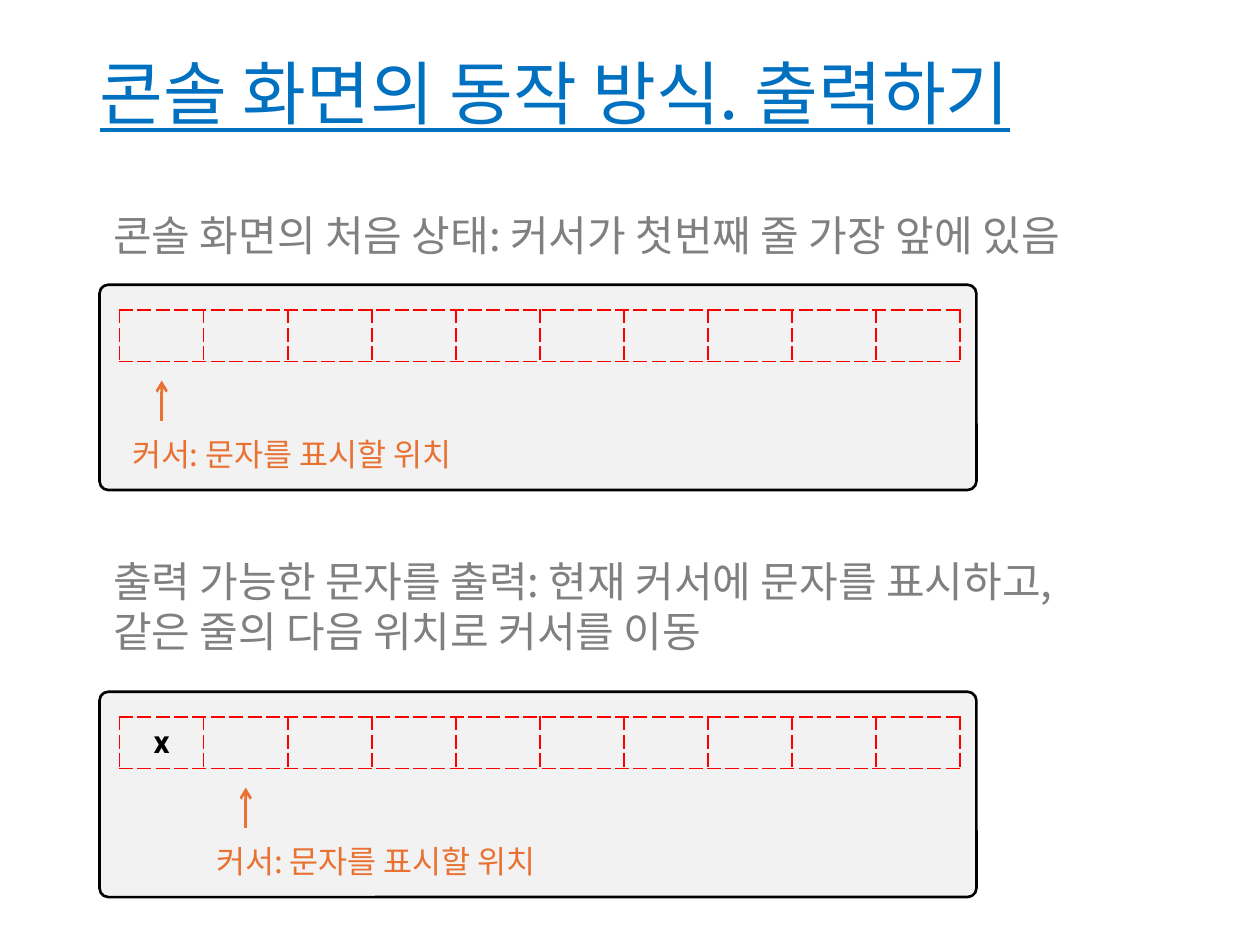
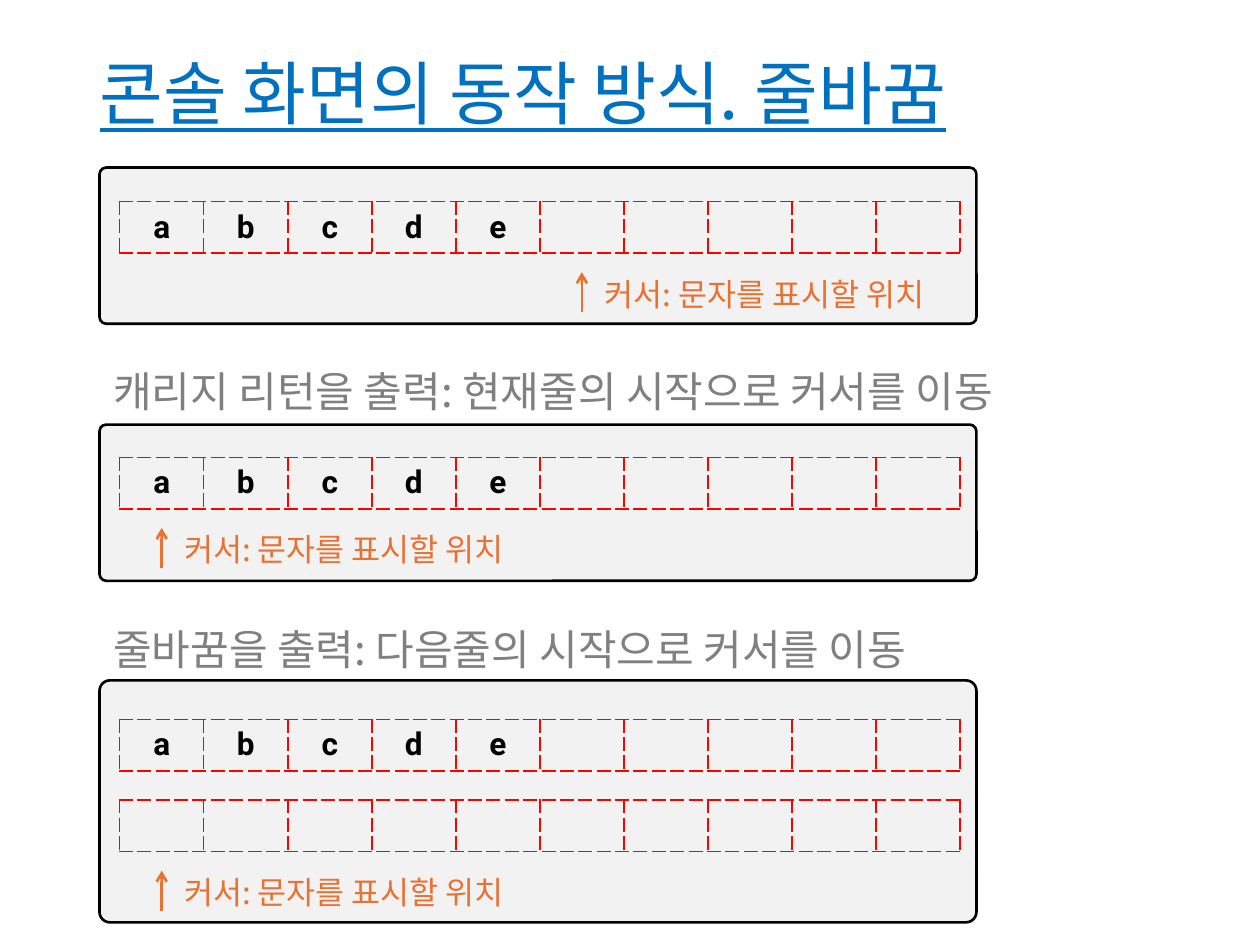
import pptx
import pptx.util
import pptx.dml.color
import pptx.enum.dml
import pptx.enum.shapes
import pptx.enum.text
import pptx.oxml
import pptx.oxml.ns

Inches = pptx.util.Inches
Pt = pptx.util.Pt

COLORS = {"title": "0070C0", "caption": "808080", "cursor": "E97132",
          "screen": "F2F2F2", "outline": "000000", "cell": "FF0000", "letter": "000000"}
KOREAN, LATIN = "Noto Sans CJK KR", "Roboto"
CURSOR_LABEL = "커서: 문자를 표시할 위치"

# Each screen: caption lines and top, screen top and height,
# rows of (top, printed letters), column of the cursor in the last row.
SLIDES = [
    {"title": "콘솔 화면의 동작 방식. 출력하기", "label": "below", "screens": [
        {"caption": ["콘솔 화면의 처음 상태: 커서가 첫번째 줄 가장 앞에 있음"], "caption_top": 1.61,
         "top": 2.26, "height": 1.63, "rows": [(2.46, "")], "cursor": 0},
        {"caption": ["출력 가능한 문자를 출력: 현재 커서에 문자를 표시하고,",
                     "같은 줄의 다음 위치로 커서를 이동"], "caption_top": 4.36,
         "top": 5.49, "height": 1.63, "rows": [(5.69, "x")], "cursor": 1},
    ]},
    {"title": "콘솔 화면의 동작 방식. 줄바꿈", "label": "beside", "screens": [
        {"caption": [], "caption_top": 0,
         "top": 1.33, "height": 1.24, "rows": [(1.6, "abcde")], "cursor": 5},
        {"caption": ["캐리지 리턴을 출력: 현재줄의 시작으로 커서를 이동"], "caption_top": 2.85,
         "top": 3.37, "height": 1.24, "rows": [(3.63, "abcde")], "cursor": 0},
        {"caption": ["줄바꿈을 출력: 다음줄의 시작으로 커서를 이동"], "caption_top": 4.9,
         "top": 5.4, "height": 1.92, "rows": [(5.71, "abcde"), (6.35, "")], "cursor": 0},
    ]},
]

SCREEN_LEFT, SCREEN_WIDTH = 0.79, 6.96
GRID_LEFT, GRID_WIDTH, COLUMNS, ROW_HEIGHT = 0.95, 6.67, 10, 0.41
COLUMN_WIDTH = GRID_WIDTH / COLUMNS
ARROW_GAP, ARROW_LENGTH = 0.15, 0.32


def rgb(name):
    return pptx.dml.color.RGBColor.from_string(COLORS[name])


def drawing_element(tag, **attributes):
    element = pptx.oxml.parse_xml(f"<a:{tag} {pptx.oxml.ns.nsdecls('a')}/>")
    for name, value in attributes.items():
        element.set(name, value)
    return element


def style_paragraph(paragraph, size, color, typeface=KOREAN):
    font = paragraph.font
    font.size, font.name = Pt(size), typeface
    font.color.rgb = rgb(color)
    paragraph._p.pPr.defRPr.append(drawing_element("ea", typeface=typeface))


def add_text(slide, box, lines, size, color):
    frame = slide.shapes.add_textbox(*map(Inches, box)).text_frame
    frame.word_wrap = True
    frame.text = "\n".join(lines)
    for paragraph in frame.paragraphs:
        style_paragraph(paragraph, size, color)


def set_title(slide, text):
    title = slide.shapes.title
    title.left, title.top, title.width, title.height = map(Inches, (0.69, 0.4, 9.18, 0.74))
    frame = title.text_frame
    frame.text = text
    frame.auto_size = pptx.enum.text.MSO_AUTO_SIZE.NONE
    frame.vertical_anchor = pptx.enum.text.MSO_ANCHOR.MIDDLE
    paragraph = frame.paragraphs[0]
    paragraph.alignment = pptx.enum.text.PP_ALIGN.LEFT
    paragraph.line_spacing = 0.9
    style_paragraph(paragraph, 39.6, "title")
    paragraph.font.underline = True


def add_screen(slide, top, height):
    screen = slide.shapes.add_shape(
        pptx.enum.shapes.MSO_SHAPE.ROUNDED_RECTANGLE,
        *map(Inches, (SCREEN_LEFT, top, SCREEN_WIDTH, height)))
    screen.adjustments[0] = 0.043
    screen.shadow.inherit = False
    screen.fill.solid()
    screen.fill.fore_color.rgb = rgb("screen")
    screen.line.color.rgb = rgb("outline")
    screen.line.width = Pt(1.5)


def add_dashed_borders(cell):
    properties = cell._tc.get_or_add_tcPr()
    for position, side in enumerate(("lnL", "lnR", "lnT", "lnB")):
        border = drawing_element(side, w=str(Pt(1)))
        fill = drawing_element("solidFill")
        fill.append(drawing_element("srgbClr", val=COLORS["cell"]))
        border.append(fill)
        border.append(drawing_element("prstDash", val="dash"))
        properties.insert(position, border)


def add_console_row(slide, top, letters):
    table = slide.shapes.add_table(
        1, COLUMNS, *map(Inches, (GRID_LEFT, top, GRID_WIDTH, ROW_HEIGHT))).table
    table.first_row = table.horz_banding = False
    for cell, letter in zip(table.iter_cells(), letters.ljust(COLUMNS)):
        cell.fill.background()
        add_dashed_borders(cell)
        cell.vertical_anchor = pptx.enum.text.MSO_ANCHOR.MIDDLE
        if letter != " ":
            cell.text = letter
            paragraph = cell.text_frame.paragraphs[0]
            paragraph.alignment = pptx.enum.text.PP_ALIGN.CENTER
            style_paragraph(paragraph, 18, "letter", LATIN)
            paragraph.font.bold = True


def add_cursor(slide, row_top, column, label_place):
    """Point an arrow up at one cell of a row and label it."""
    cell_left = GRID_LEFT + column * COLUMN_WIDTH
    x = cell_left + COLUMN_WIDTH / 2
    tip = row_top + ROW_HEIGHT + ARROW_GAP
    foot = tip + ARROW_LENGTH
    arrow = slide.shapes.add_connector(
        pptx.enum.shapes.MSO_CONNECTOR.STRAIGHT, *map(Inches, (x, foot, x, tip)))
    arrow.line.color.rgb = rgb("cursor")
    arrow.line.width = Pt(1.5)
    arrow.line._get_or_add_ln().append(drawing_element("tailEnd", type="arrow"))
    arrow._element.spPr.append(drawing_element("effectLst"))
    left, top = (cell_left, foot + 0.06) if label_place == "below" else (x + 0.08, tip - 0.03)
    add_text(slide, (left, top, 3.04, 0.4), [CURSOR_LABEL], 18, "cursor")


def main():
    presentation = pptx.Presentation()
    presentation.slide_width, presentation.slide_height = Inches(10), Inches(7.5)
    title_only = presentation.slide_layouts[5]
    for content in SLIDES:
        slide = presentation.slides.add_slide(title_only)
        set_title(slide, content["title"])
        for screen in content["screens"]:
            add_screen(slide, screen["top"], screen["height"])
            for row_top, letters in screen["rows"]:
                add_console_row(slide, row_top, letters)
            add_cursor(slide, screen["rows"][-1][0], screen["cursor"], content["label"])
            caption = screen["caption"]
            if caption:
                box = (0.8, screen["caption_top"], 8.71, 0.1 + 0.4 * len(caption))
                add_text(slide, box, caption, 24, "caption")
    presentation.save("out.pptx")


if __name__ == "__main__":
    main()
